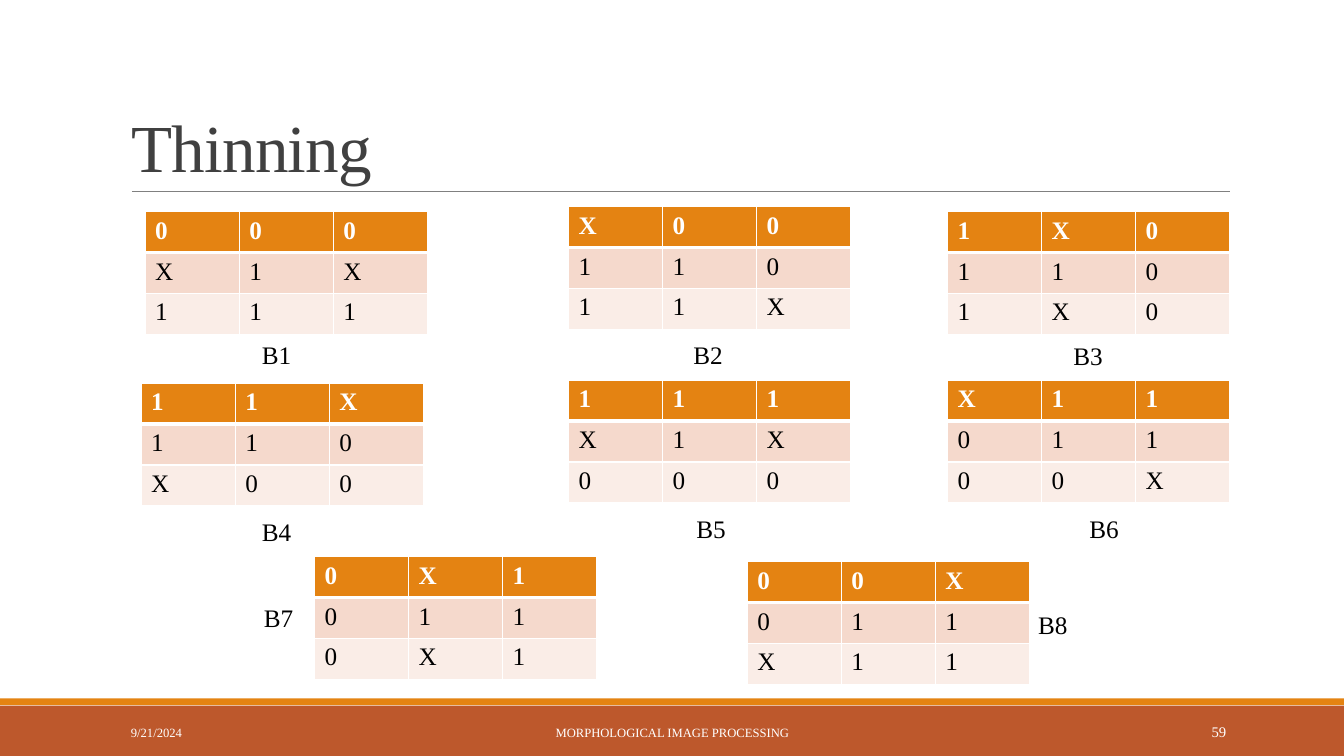
from dataclasses import dataclass

from lxml.etree import SubElement
from pptx import Presentation
from pptx.dml.color import RGBColor
from pptx.enum.shapes import MSO_CONNECTOR, MSO_SHAPE
from pptx.enum.text import MSO_ANCHOR, MSO_AUTO_SIZE, PP_ALIGN
from pptx.oxml.ns import qn
from pptx.util import Pt


@dataclass(frozen=True)
class Theme:
    font: str = "Times New Roman"
    title_color: str = "404040"
    text: str = "000000"
    white: str = "FFFFFF"
    rule: str = "808080"
    accent: str = "E48312"
    footer: str = "BD582C"
    row_fills: tuple = ("E48312", "F5D9CC", "FAEDE7")
    title_size: float = 48
    body_size: float = 18
    footer_size: float = 9
    number_size: float = 10.5


THEME = Theme()
WIDTH, HEIGHT = 960, 540
COLUMN_WIDTH, ROW_HEIGHT = 67.2, 29.2
LABEL_WIDTH, LABEL_HEIGHT = 43.2, 29

# Name, table corner, label offset from that corner, rows of the mask
MASKS = [
    ("B1", (103.7, 151.2), (76.3, 87.8), ("000", "X1X", "111")),
    ("B2", (406.1, 147.6), (82.1, 91.4), ("X00", "110", "11X")),
    ("B3", (676.8, 151.2), (82.8, 88.6), ("1X0", "110", "1X0")),
    ("B4", (100.8, 273.8), (79.2, 91.4), ("11X", "110", "X00")),
    ("B5", (406.1, 271.6), (84.2, 91.4), ("111", "X1X", "000")),
    ("B6", (676.8, 271.6), (94.3, 91.4), ("X11", "011", "00X")),
    ("B7", (224.6, 397.6), (-43.2, 28.8), ("0X1", "011", "0X1")),
    ("B8", (533.8, 401.2), (200.6, 30.8), ("00X", "011", "X11")),
]


def rgb(color):
    return RGBColor.from_string(color)


def format_runs(text_frame, size, color, bold=False, align=PP_ALIGN.LEFT):
    for para in text_frame.paragraphs:
        para.alignment = align
        for span in para.runs:
            span.font.name = THEME.font
            span.font.size = Pt(size)
            span.font.bold = bold
            span.font.color.rgb = rgb(color)


def add_label(slide, box, text, size, color, align=PP_ALIGN.LEFT,
              anchor=MSO_ANCHOR.TOP):
    label = slide.shapes.add_textbox(*map(Pt, box))
    frame = label.text_frame
    frame.word_wrap = True
    frame.vertical_anchor = anchor
    frame.text = text
    format_runs(frame, size, color, align=align)


def add_band(slide, box, color):
    band = slide.shapes.add_shape(MSO_SHAPE.RECTANGLE, *map(Pt, box))
    band.shadow.inherit = False
    band.fill.solid()
    band.fill.fore_color.rgb = rgb(color)
    band.line.fill.background()


def add_title(slide, box, text):
    left, top, width, height = box
    title = slide.shapes.title
    title.left, title.top, title.width, title.height = map(Pt, box)
    frame = title.text_frame
    frame.auto_size = MSO_AUTO_SIZE.NONE
    frame.vertical_anchor = MSO_ANCHOR.BOTTOM
    frame.text = text
    format_runs(frame, THEME.title_size, THEME.title_color)
    para = frame.paragraphs[0]
    para.line_spacing = 0.85
    para.runs[0].font._element.set("spc", "-50")

    base = top + height
    rule = slide.shapes.add_connector(
        MSO_CONNECTOR.STRAIGHT,
        Pt(left + 7.9), Pt(base), Pt(left + width), Pt(base))
    rule.line.color.rgb = rgb(THEME.rule)
    rule.line.width = Pt(0.5)
    SubElement(rule._element.spPr, qn("a:effectLst"))


def set_borders(cell, row):
    """White grid lines, with a thicker one under the header row."""
    widths = {"lnL": 1, "lnR": 1,
              "lnT": 3 if row == 1 else 1,
              "lnB": 3 if row == 0 else 1}
    properties = cell._tc.get_or_add_tcPr()
    for side, width in widths.items():
        border = SubElement(properties, qn(f"a:{side}"), w=str(Pt(width)))
        fill = SubElement(border, qn("a:solidFill"))
        SubElement(fill, qn("a:srgbClr"), val=THEME.white)


def add_mask(slide, name, corner, label_offset, rows):
    left, top = corner
    count = len(rows)
    table = slide.shapes.add_table(
        count, count, Pt(left), Pt(top),
        Pt(COLUMN_WIDTH * count), Pt(ROW_HEIGHT * count)).table
    for column in table.columns:
        column.width = Pt(COLUMN_WIDTH)
    for r, values in enumerate(rows):
        table.rows[r].height = Pt(ROW_HEIGHT)
        for c, value in enumerate(values):
            cell = table.cell(r, c)
            set_borders(cell, r)
            cell.fill.solid()
            cell.fill.fore_color.rgb = rgb(THEME.row_fills[r])
            cell.text_frame.text = value
            format_runs(cell.text_frame, THEME.body_size,
                        THEME.text if r else THEME.white, bold=r == 0)
    label_left, label_top = left + label_offset[0], top + label_offset[1]
    add_label(slide, (label_left, label_top, LABEL_WIDTH, LABEL_HEIGHT),
              name, THEME.body_size, THEME.text)


def add_footer(slide, box):
    left, top, width, height = box
    add_band(slide, box, THEME.footer)
    add_band(slide, (left, top - 5.2, width, 5), THEME.accent)
    items = [
        (86.4, 194.7, "9/21/2024", THEME.footer_size, PP_ALIGN.LEFT),
        (290.3, 379.7, "MORPHOLOGICAL IMAGE PROCESSING",
         THEME.footer_size, PP_ALIGN.CENTER),
        (779.6, 103.3, "59", THEME.number_size, PP_ALIGN.RIGHT),
    ]
    for offset, item_width, text, size, align in items:
        add_label(slide, (left + offset, top + 4.5, item_width, 28.8), text,
                  size, THEME.white, align, MSO_ANCHOR.MIDDLE)


def main():
    deck = Presentation()
    deck.slide_width, deck.slide_height = Pt(WIDTH), Pt(HEIGHT)
    slide = deck.slides.add_slide(deck.slide_layouts[5])
    add_title(slide, (86.4, 22.6, 792, 114.2), "Thinning")
    for mask in MASKS:
        add_mask(slide, *mask)
    add_footer(slide, (0, 504, WIDTH, 36))
    deck.save("out.pptx")


if __name__ == "__main__":
    main()
